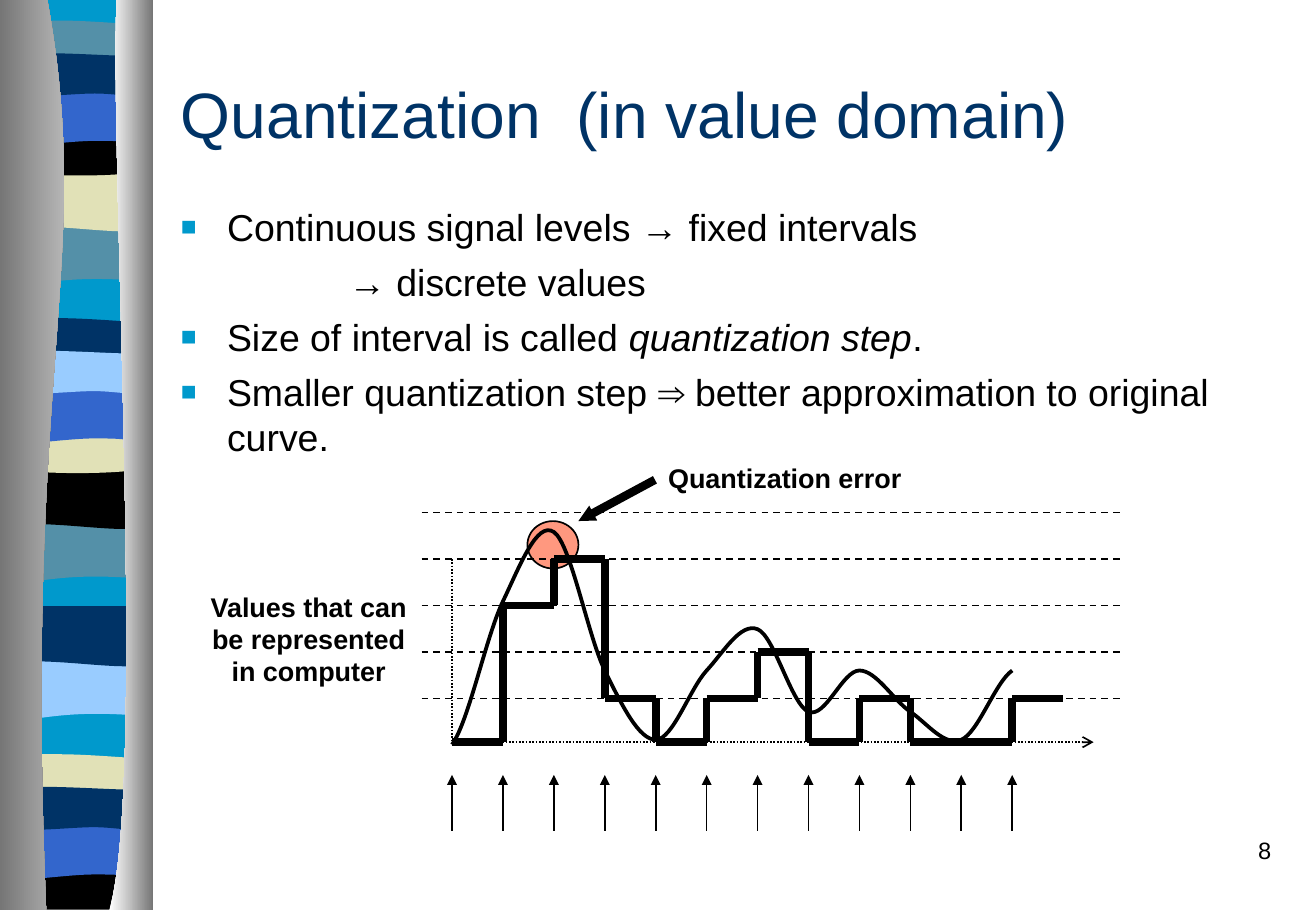
from lxml import etree
from pptx import Presentation
from pptx.dml.color import RGBColor
from pptx.enum.dml import MSO_LINE
from pptx.enum.shapes import MSO_CONNECTOR, MSO_SHAPE
from pptx.enum.text import MSO_ANCHOR, PP_ALIGN
from pptx.oxml.ns import qn
from pptx.util import Inches, Pt

STRAIGHT, OVAL = MSO_CONNECTOR.STRAIGHT, MSO_SHAPE.OVAL
DASH, DOT = MSO_LINE.DASH, MSO_LINE.ROUND_DOT
LEFT, CENTER, RIGHT = PP_ALIGN.LEFT, PP_ALIGN.CENTER, PP_ALIGN.RIGHT
TOP, MIDDLE = MSO_ANCHOR.TOP, MSO_ANCHOR.MIDDLE

# Content
WIDTH, HEIGHT = 10.83, 7.5
BLACK, NAVY, BLUE, SKY = "000000", "003366", "3366CC", "99CCFF"
CYAN, TEAL, SAND, GREY, WHITE = "0099CC", "5490A8", "E1E1B7", "767676", "FFFFFF"
TITLE = "Quantization  (in value domain)"
# Each line: has a bullet, then (text, italic) runs
BODY = [
    (True, [("Continuous signal levels → fixed intervals", False)]),
    (False, [("→ discrete values", False)]),
    (True, [("Size of interval is called ", False), ("quantization step", True),
            (".", False)]),
    (True, [("Smaller quantization step ⇒ better approximation to original curve.",
             False)]),
]
ERROR_LABEL = ["Quantization error"]
VALUES_LABEL = ["Values that can", "be represented", "in computer"]
PAGE_NUMBER = "8"

# Sampled signal: height of the curve and quantized level at every sample
CURVE = [6.13, 4.95, 4.38, 5.52, 6.09, 5.52, 5.18, 5.86, 5.52, 5.86, 6.09, 5.52]
LEVELS = [0, 3, 4, 1, 0, 1, 2, 0, 1, 0, 0, 1]
LAST_SAMPLE, ORIGIN, BASE = 8.33, 3.72, 6.11
FIRST_LEVEL, TOP_LEVEL, LEVEL_COUNT = 5.75, 4.22, 5

# Outlines: a start, then segments of one point (line) or three points (curve)
BANDS = {
    "field": [(1.23, 0), [(1.23, 7.47)], [(0.06, 7.47)], [(0.06, 0)]],
    "wave": [(1.23, 1.85), [(1.23, 2.32)], [(0.42, 2.24), (0.26, 2.4), (0.06, 2.32)],
             [(0.06, 1.85)]],
    "swell": [(1.23, 1.41), [(1.23, 1.88)], [(1.04, 1.96), (0.42, 1.82), (0.06, 1.88)],
              [(0.06, 1.41)]],
    "thin": [(1.23, 0.21), [(1.23, 0.45)], [(1.04, 0.49), (0.26, 0.49), (0.06, 0.45)],
             [(0.06, 0.21)], [(0.14, 0.16), (0.32, 0.17), (0.51, 0.17)],
             [(0.71, 0.17), (1.08, 0.2), (1.23, 0.21)]],
    "bowl": [(1.23, 1.08), [(1.23, 1.4)], [(1.04, 1.46), (0.26, 1.46), (0.06, 1.4)],
             [(0.06, 1.08)], [(0.78, 1.13), (0.99, 1.08), (1.23, 1.08)]],
    "foot": [(1.23, 1.08), [(1.23, 1.45)], [(0.06, 1.45)], [(0.06, 1.08)],
             [(0.78, 1.13), (0.99, 1.08), (1.23, 1.08)]],
    "arch": [(1.23, 0.74), [(1.23, 1.21)], [(1.05, 1.16), (0.98, 1.16), (0.78, 1.16)],
             [(0.59, 1.16), (0.24, 1.21), (0.06, 1.21)], [(0.06, 0.74)]],
    "ripple": [(1.23, 0.46), [(1.23, 0.77)], [(1.16, 0.82), (0.98, 0.77), (0.78, 0.77)],
               [(0.59, 0.77), (0.18, 0.82), (0.06, 0.77)], [(0.06, 0.46)],
               [(0.23, 0.41), (0.86, 0.46), (1.05, 0.46)],
               [(1.25, 0.46), (1.2, 0.46), (1.23, 0.46)]],
}
# Ribbon: shift right, shift down, colour of each band from back to front
BAND_SETS = [
    (0, 0, {"field": CYAN, "wave": TEAL, "swell": SAND, "thin": TEAL, "bowl": BLACK,
            "arch": BLUE, "ripple": NAVY}),
    (-0.01, 2.45, {"wave": TEAL, "swell": BLACK, "thin": NAVY, "bowl": SAND,
                   "arch": BLUE, "ripple": SKY}),
    (0, 3.58, {"wave": SKY, "swell": NAVY}),
    (-0.01, 6.04, {"thin": SAND, "foot": BLACK, "arch": BLUE, "ripple": NAVY}),
]
# Pillars: outline, colours from left to right
PILLARS = [
    ([(0.39, 0), [(0.78, 2.16), (0.19, 2.96), (0.38, 7.49)], [(0, 7.49)], [(0, 0)]],
     (GREY, "D4D4D4")),
    ([(0.96, 0), [(0.9, 1.25), (1.21, 6.46), (0.9, 7.49)], [(1.26, 7.49)], [(1.26, 0)]],
     (WHITE, GREY)),
]

presentation = Presentation()
presentation.slide_width, presentation.slide_height = Inches(WIDTH), Inches(HEIGHT)
slide = presentation.slides.add_slide(presentation.slide_layouts[6])
shapes = slide.shapes


def color(value):
    return RGBColor.from_string(value)


def apply(target, formats):
    for name, value in formats.items():
        setattr(target, name, value)


def outline(start, *segments, right=0, down=0, closed=True):
    def place(point):
        return Inches(point[0] + right), Inches(point[1] + down)

    builder = shapes.build_freeform(*place(start))
    builder.add_line_segments([place(p) for s in segments for p in s], close=closed)
    shape = builder.convert_to_shape()
    shape.shadow.inherit = False
    # Join every three points of a curved segment into one curve
    line_steps = iter(list(shape._element.iter(qn("a:lnTo"))))
    for segment in segments:
        steps = [next(line_steps) for _ in segment]
        if len(steps) == 3:
            curve_step = etree.Element(qn("a:cubicBezTo"))
            steps[0].addprevious(curve_step)
            for step in steps:
                curve_step.append(step[0])
                step.getparent().remove(step)
    return shape


def line(start, end, width=1, dash=None, size="med", **arrows):
    connector = shapes.add_connector(
        STRAIGHT, *[Inches(value) for value in (*start, *end)])
    apply(connector.line, {"width": Pt(width), "dash_style": dash})
    connector.line.fill.solid()
    connector.line.color.rgb = color(BLACK)
    for end_name, kind in arrows.items():
        etree.SubElement(connector.line._get_or_add_ln(), qn(f"a:{end_name}"),
                         type=kind, w=size, len=size)
    etree.SubElement(connector._element.spPr, qn("a:effectLst"))


def text_box(box, lines, size, align=LEFT, anchor=TOP, wrap=True, ink=BLACK, bold=False):
    """Lines are lists of (text, italic) runs; returns the paragraphs."""
    frame = shapes.add_textbox(*[Inches(value) for value in box]).text_frame
    apply(frame, {"word_wrap": wrap, "vertical_anchor": anchor})
    for index, runs in enumerate(lines):
        paragraph = frame.add_paragraph() if index else frame.paragraphs[0]
        paragraph.alignment = align
        for words, italic in runs:
            run = paragraph.add_run()
            run.text = words
            apply(run.font, {"name": "Arial", "size": Pt(size), "bold": bold,
                             "italic": italic})
            run.font.color.rgb = color(ink)
    return frame.paragraphs


def plain(lines):
    return [[(words, False)] for words in lines]


# Ribbon
for right, down, fills in BAND_SETS:
    for name, fill in fills.items():
        band = outline(*BANDS[name], right=right, down=down)
        band.fill.solid()
        band.fill.fore_color.rgb = color(fill)
        band.line.fill.background()

# Pillars
for points, fills in PILLARS:
    pillar = outline(*points)
    pillar.line.fill.background()
    pillar.fill.gradient()
    pillar.fill.gradient_angle = 0
    for position, (stop, fill) in enumerate(zip(pillar.fill.gradient_stops, fills)):
        stop.position = position
        stop.color.rgb = color(fill)

# Quantization error
circle = shapes.add_shape(OVAL, *[Inches(v) for v in (4.34, 4.29, 0.42, 0.39)])
circle.shadow.inherit = False
circle.fill.solid()
circle.fill.fore_color.rgb = color("FF3300")
circle_color = circle._element.spPr.find(qn("a:solidFill"))[0]
etree.SubElement(circle_color, qn("a:alpha"), val="50000")
circle.line.color.rgb = color(BLACK)
circle.line.width = Pt(1)
line((5.39, 3.95), (4.76, 4.29), 5, size="sm", tailEnd="triangle")
text_box((5.4, 3.75, 2.12, 0.37), plain(ERROR_LABEL), 16, wrap=False, bold=True)

# Title and bullets
text_box((1.39, 0.5, 9.21, 0.86), plain([TITLE]), 38, anchor=MIDDLE, ink=NAVY)
paragraphs = text_box((1.39, 1.63, 9.21, 2.32), [runs for _, runs in BODY], 22.2)
for paragraph, (bulleted, _) in zip(paragraphs, BODY):
    paragraph.space_before = Pt(6)
    properties = paragraph._p.get_or_add_pPr()
    properties.set("marL", str(Inches(0.38 if bulleted else 1.38)))
    properties.set("indent", str(Inches(-0.38 if bulleted else 0)))
    if bulleted:
        bullet_color = etree.SubElement(properties, qn("a:buClr"))
        etree.SubElement(bullet_color, qn("a:srgbClr"), val=CYAN)
        etree.SubElement(properties, qn("a:buSzPct"), val="70000")
        etree.SubElement(properties, qn("a:buFont"), typeface="Arial")
        etree.SubElement(properties, qn("a:buChar"), char="■")
text_box((1.63, 4.81, 1.82, 0.9), plain(VALUES_LABEL), 16, CENTER, wrap=False, bold=True)

# Level lines and axes
level_gap = (FIRST_LEVEL - TOP_LEVEL) / (LEVEL_COUNT - 1)
heights = [BASE] + [FIRST_LEVEL - level_gap * i for i in range(LEVEL_COUNT)]
for y in heights[1:]:
    line((3.47, y), (9.25, y), dash=DASH)
line((ORIGIN, BASE), (9, BASE), dash=DOT, tailEnd="arrow")
line((ORIGIN, heights[4]), (ORIGIN, BASE), dash=DOT)

# Signal: a smooth curve whose slope follows the neighbouring samples
step = (LAST_SAMPLE - ORIGIN) / (len(CURVE) - 1)
xs = [ORIGIN + step * i for i in range(len(CURVE))]
padded = [CURVE[0], *CURVE, CURVE[-1]]
signal = []
for i, x in enumerate(xs[:-1]):
    before, start, end, after = padded[i:i + 4]
    signal.append([(x + step / 3, start + (end - before) / 6),
                   (x + step * 2 / 3, end - (after - start) / 6), (x + step, end)])
curve = outline((ORIGIN, CURVE[0]), *signal, closed=False)
curve.fill.background()
curve.line.color.rgb = color(BLACK)
curve.line.width = Pt(2.25)

# Quantized steps and sampling arrows
previous = LEVELS[0]
for x, level in zip(xs, LEVELS):
    if level != previous:
        line((x, heights[previous]), (x, heights[level]), 4.5)
    line((x, heights[level]), (x + step, heights[level]), 4.5)
    line((x, 6.38), (x, 6.84), headEnd="triangle")
    previous = level

# Page number
text_box((8.3, 6.83, 2.26, 0.5), plain([PAGE_NUMBER]), 14, RIGHT)

presentation.save("out.pptx")
